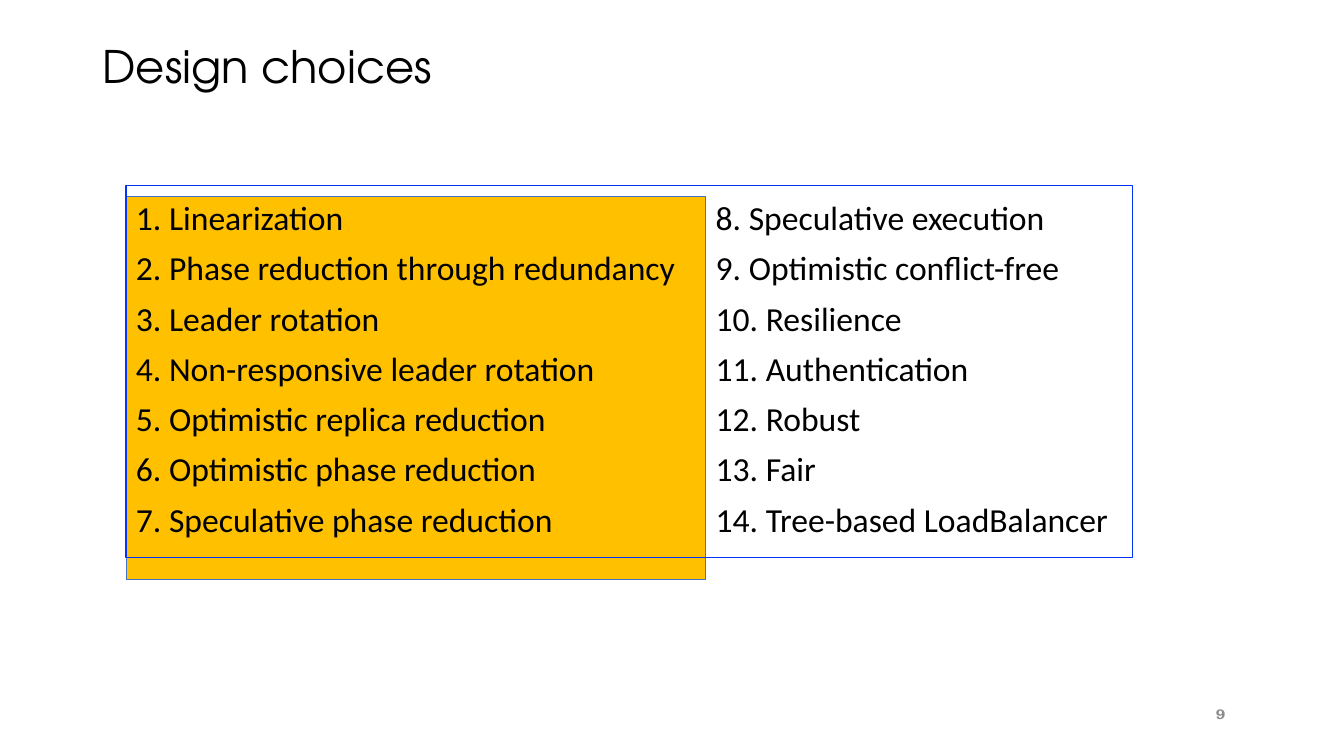
from dataclasses import dataclass

from pptx import Presentation
from pptx.dml.color import RGBColor as RGB
from pptx.enum.shapes import MSO_SHAPE as Shape
from pptx.enum.text import MSO_ANCHOR as Anchor, PP_ALIGN as Align
from pptx.util import Inches, Pt


@dataclass(frozen=True)
class Style:
    font: str
    size: int
    color: str
    bold: bool = False


@dataclass(frozen=True)
class Theme:
    title: Style = Style("TeX Gyre Adventor", 32, "000000")
    body: Style = Style("Calibri", 24, "000000")
    page: Style = Style("TeX Gyre Bonum", 10, "8C8C8C", True)
    gold: str = "FFC000"
    edge: str = "4472C4"
    frame: str = "0432FF"


THEME = Theme()

CHOICES = [
    "Linearization",
    "Phase reduction through redundancy",
    "Leader rotation",
    "Non-responsive leader rotation",
    "Optimistic replica reduction",
    "Optimistic phase reduction",
    "Speculative phase reduction",
    "Speculative execution",
    "Optimistic conflict-free",
    "Resilience",
    "Authentication",
    "Robust",
    "Fair",
    "Tree-based LoadBalancer",
]


def add_text(slide, box, lines, style, align=Align.LEFT,
             anchor=Anchor.TOP, leading=0.9, gap=0):
    """Add a text box with one paragraph per line."""
    shape = slide.shapes.add_textbox(*map(Inches, box))
    frame = shape.text_frame
    frame.word_wrap = True
    frame.vertical_anchor = anchor
    frame.text = "\n".join(lines)
    for index, para in enumerate(frame.paragraphs):
        para.alignment = align
        para.line_spacing = leading
        para.space_before = Pt(gap if index else 0)
        for run in para.runs:
            run.font.name = style.font
            run.font.size = Pt(style.size)
            run.font.bold = style.bold
            run.font.color.rgb = RGB.from_string(style.color)
    return shape


def set_line(shape, color, width):
    shape.line.color.rgb = RGB.from_string(color)
    shape.line.width = Pt(width)


def add_frame(slide, box, color, width):
    """Add an unfilled rectangle."""
    shape = slide.shapes.add_shape(Shape.RECTANGLE, *map(Inches, box))
    shape.shadow.inherit = False
    shape.fill.background()
    set_line(shape, color, width)


def add_lists(slide):
    """Split the numbered choices into two equal columns."""
    left, top, width, height = 1.25, 1.95, 5.75, 3.8
    items = [f"{num}. {name}" for num, name in enumerate(CHOICES, 1)]
    half = len(items) // 2
    columns = [
        add_text(slide, (left + col * width, top, width, height),
                 items[col * half:(col + 1) * half], THEME.body, gap=10)
        for col in range(2)
    ]
    # Highlight the first column
    first = columns[0]
    first.fill.solid()
    first.fill.fore_color.rgb = RGB.from_string(THEME.gold)
    set_line(first, THEME.edge, 0.75)


def main():
    deck = Presentation()
    deck.slide_width, deck.slide_height = Inches(13.33), Inches(7.5)
    slide = deck.slides.add_slide(deck.slide_layouts[6])

    # Title
    add_text(slide, (0.92, 0.4, 11.5, 1), ["Design choices"], THEME.title)

    # Choices and the frame around them
    add_lists(slide)
    add_frame(slide, (1.25, 1.84, 9.98, 3.69), THEME.frame, 1)

    # Page number
    add_text(slide, (9.25, 6.88, 3, 0.4), ["9"], THEME.page,
             Align.RIGHT, Anchor.MIDDLE, leading=1.0)

    deck.save("out.pptx")


if __name__ == "__main__":
    main()
